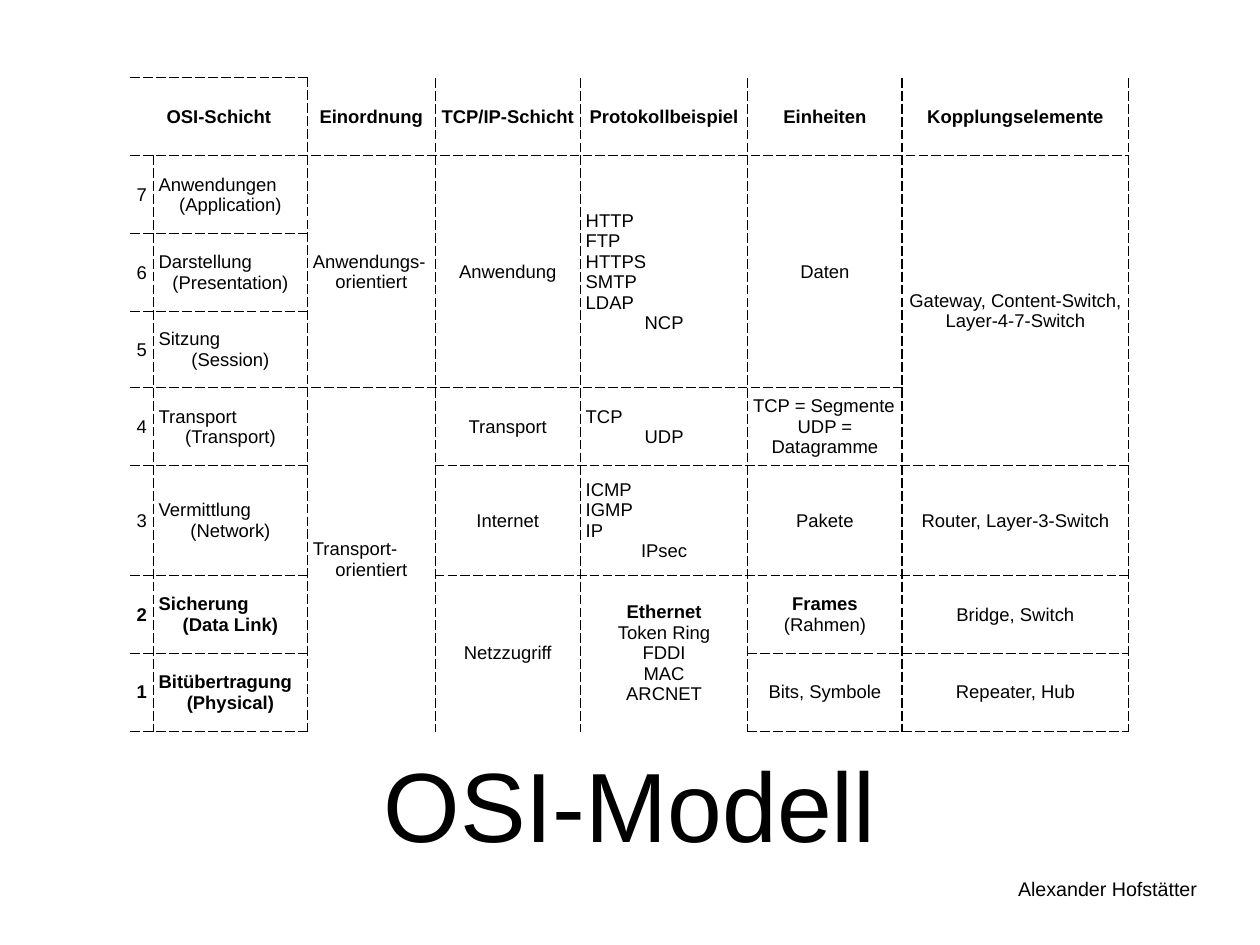
from dataclasses import dataclass

from lxml import etree
from pptx import Presentation
from pptx.dml.color import RGBColor
from pptx.enum.text import MSO_ANCHOR, MSO_AUTO_SIZE, PP_ALIGN
from pptx.oxml.ns import qn
from pptx.util import Emu, Inches, Pt

LEFT, CENTER = PP_ALIGN.LEFT, PP_ALIGN.CENTER
MIDDLE, BOTTOM = MSO_ANCHOR.MIDDLE, MSO_ANCHOR.BOTTOM
NO_FIT = MSO_AUTO_SIZE.NONE

COLORS = {"ink": "000000"}
FONT = "Arial"
WIDE, HIGH = Inches(14.22), Inches(10.67)
INSET = Inches(0.06)

# Table grid in percent of the slide's width and height
COLS = (1.83, 12.24, 10.13, 11.53, 13.29, 12.24, 18)
ROWS = (8.25, 8.25, 8.25, 8.06, 8.25, 11.62, 8.25, 8.25)


@dataclass
class Block:
    row: int
    col: int
    text: str
    rows: int = 1
    cols: int = 1
    bold: int = 0  # number of bold lines
    stair: bool = False  # all lines but the last start at the left


HEADS = ("Einordnung", "TCP/IP-Schicht", "Protokollbeispiel",
         "Einheiten", "Kopplungselemente")
LAYERS = ("Anwendungen\n(Application)", "Darstellung\n(Presentation)",
          "Sitzung\n(Session)", "Transport\n(Transport)",
          "Vermittlung\n(Network)", "Sicherung\n(Data Link)",
          "Bitübertragung\n(Physical)")
BODY = [
    Block(1, 2, "Anwendungs-\norientiert", rows=3, stair=True),
    Block(4, 2, "Transport-\norientiert", rows=4, stair=True),
    Block(1, 3, "Anwendung", rows=3),
    Block(4, 3, "Transport"),
    Block(5, 3, "Internet"),
    Block(6, 3, "Netzzugriff", rows=2),
    Block(1, 4, "HTTP\nFTP\nHTTPS\nSMTP\nLDAP\nNCP", rows=3, stair=True),
    Block(4, 4, "TCP\nUDP", stair=True),
    Block(5, 4, "ICMP\nIGMP\nIP\nIPsec", stair=True),
    Block(6, 4, "Ethernet\nToken Ring\nFDDI\nMAC\nARCNET", rows=2, bold=1),
    Block(1, 5, "Daten", rows=3),
    Block(4, 5, "TCP = Segmente\nUDP = Datagramme", stair=True),
    Block(5, 5, "Pakete"),
    Block(6, 5, "Frames\n(Rahmen)", bold=1),
    Block(7, 5, "Bits, Symbole"),
    Block(1, 6, "Gateway, Content-Switch, Layer-4-7-Switch", rows=4),
    Block(5, 6, "Router, Layer-3-Switch"),
    Block(6, 6, "Bridge, Switch"),
    Block(7, 6, "Repeater, Hub"),
]


def across(share: float) -> Emu:
    return Emu(round(WIDE * share / 100))


def down(share: float) -> Emu:
    return Emu(round(HIGH * share / 100))


def write(frame, text: str, size: float = 15, bold: int = 0,
          stair: bool = False) -> None:
    lines = text.split("\n")
    for i, line in enumerate(lines):
        para = frame.paragraphs[0] if i == 0 else frame.add_paragraph()
        para.alignment = LEFT if stair and i < len(lines) - 1 else CENTER
        run = para.add_run()
        run.text = line
        run.font.name = FONT
        run.font.size = Pt(size)
        run.font.bold = i < bold
        run.font.color.rgb = RGBColor.from_string(COLORS["ink"])


def pad(box) -> None:
    box.margin_left = box.margin_right = INSET
    box.margin_top = box.margin_bottom = INSET


def edge(cell, sides: dict[str, bool]) -> None:
    props = cell._tc.get_or_add_tcPr()
    for i, (side, shown) in enumerate(sides.items()):
        line = etree.Element(qn(f"a:ln{side}"), w=str(Pt(1)))
        if shown:
            fill = etree.SubElement(line, qn("a:solidFill"))
            etree.SubElement(fill, qn("a:srgbClr"), val=COLORS["ink"])
            etree.SubElement(line, qn("a:prstDash"), val="lgDash")
        else:
            etree.SubElement(line, qn("a:noFill"))
        props.insert(i, line)


def place(table, block: Block) -> None:
    end = block.row + block.rows - 1
    last = block.col + block.cols - 1
    # Dashed lines run round the block; the table is open at left and top
    for row in range(block.row, end + 1):
        for col in range(block.col, last + 1):
            cell = table.cell(row, col)
            cell.fill.background()
            edge(cell, {
                "L": col == block.col and col > 0,
                "R": col == last,
                "T": row == block.row and (row > 0 or col < 2),
                "B": row == end,
            })
    cell = table.cell(block.row, block.col)
    if block.rows * block.cols > 1:
        cell.merge(table.cell(end, last))
    pad(cell)
    cell.vertical_anchor = MIDDLE
    write(cell.text_frame, block.text, bold=block.bold, stair=block.stair)


def draw_table(slide) -> None:
    table = slide.shapes.add_table(
        len(ROWS), len(COLS), across(10.34), down(8.25),
        across(sum(COLS)), down(sum(ROWS))).table
    table.first_row = table.horz_banding = False
    for col, share in zip(table.columns, COLS):
        col.width = across(share)
    for row, share in zip(table.rows, ROWS):
        row.height = down(share)

    blocks = [Block(0, 0, "OSI-Schicht", cols=2, bold=1)]
    blocks += [Block(0, col, head, bold=1)
               for col, head in enumerate(HEADS, 2)]
    for row, layer in enumerate(LAYERS, 1):
        bold = 2 if row > 5 else 0
        blocks.append(Block(row, 0, str(8 - row), bold=bold))
        blocks.append(Block(row, 1, layer, bold=bold, stair=True))
    for block in blocks + BODY:
        place(table, block)


def main() -> None:
    deck = Presentation()
    deck.slide_width, deck.slide_height = WIDE, HIGH
    slide = deck.slides.add_slide(deck.slide_layouts[5])

    # Title
    title = slide.shapes.title
    title.left, title.top = across(9.77), down(77.23)
    title.width, title.height = across(80.45), down(14.62)
    frame = title.text_frame
    frame.auto_size = NO_FIT
    frame.vertical_anchor = BOTTOM
    pad(frame)
    write(frame, "OSI-Modell", size=80)

    # Author
    box = slide.shapes.add_textbox(
        across(80.31), down(92.22), across(15.19), down(3.56))
    frame = box.text_frame
    frame.word_wrap = False
    frame.vertical_anchor = MIDDLE
    pad(frame)
    write(frame, "Alexander Hofstätter", size=16)

    # Layer table
    draw_table(slide)
    deck.save("out.pptx")


if __name__ == "__main__":
    main()
